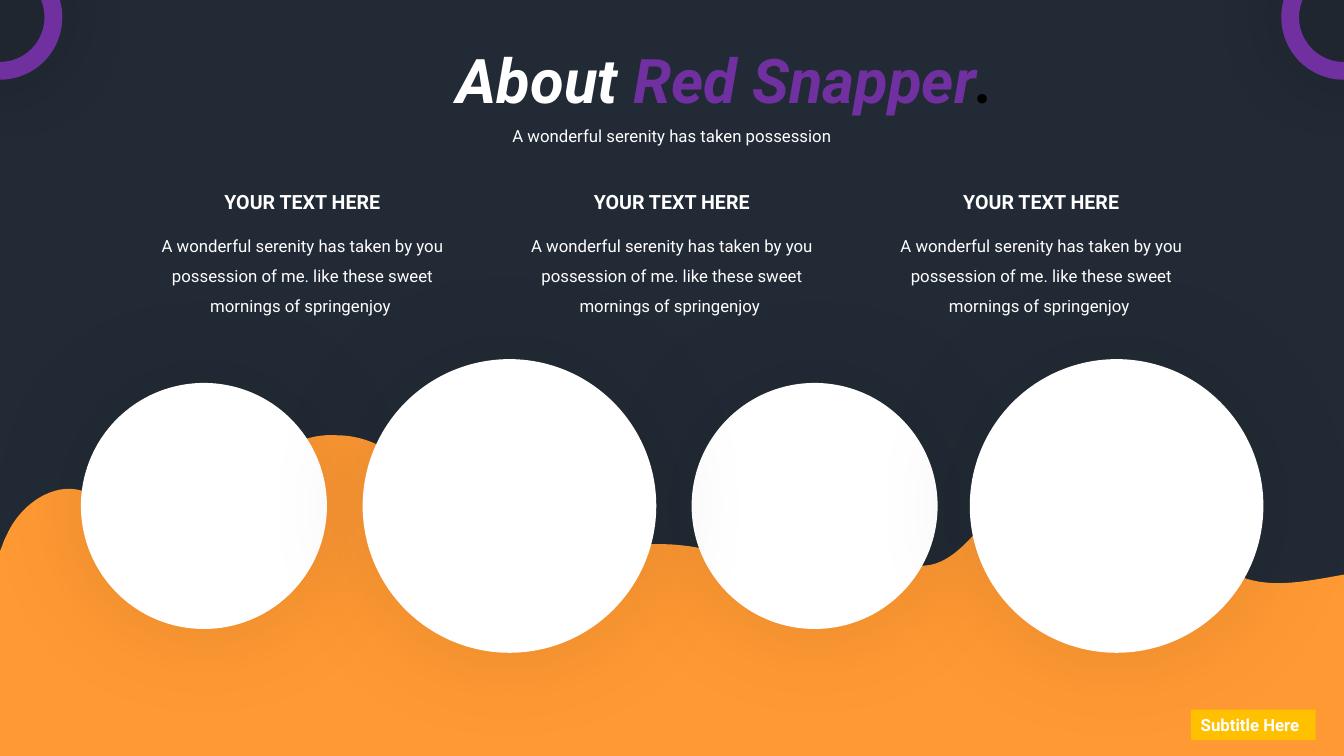
from lxml.etree import SubElement
from pptx import Presentation
from pptx.dml.color import RGBColor
from pptx.enum.shapes import MSO_SHAPE as SHAPE
from pptx.enum.text import MSO_ANCHOR as ANCHOR
from pptx.enum.text import MSO_AUTO_SIZE as AUTO
from pptx.enum.text import PP_ALIGN as ALIGN
from pptx.oxml.ns import qn
from pptx.util import Cm, Pt

NAVY, ORANGE, PURPLE, GOLD = "222A35", "FF9933", "7030A0", "FFC000"
WHITE, BLACK = "FFFFFF", "000000"
WIDTH, HEIGHT = 33.87, 19.05
COLUMN_STEP = 9.31
BODY = ("A wonderful serenity has taken by you possession of me. "
        "like these sweet mornings of springenjoy ")

# Outline pieces in cm: a line is one end point, a Bezier curve is
# two control points and an end point.
WAVE = [
    ((0.05, 13.77),),
    ((0.08, 13.67), (0.13, 13.56), (0.18, 13.46)),
    ((0.53, 12.70), (1.35, 12.14), (2.08, 12.37)),
    ((2.84, 12.60), (3.33, 13.54), (4.09, 13.59)),
    ((4.90, 13.67), (5.49, 12.80), (6.05, 12.17)),
    ((6.55, 11.58), (7.21, 11.15), (7.95, 11.00)),
    ((8.13, 10.97), (8.33, 10.95), (8.51, 10.97)),
    ((9.04, 10.97), (9.60, 11.18), (10.03, 11.53)),
    ((10.74, 12.17), (11.10, 13.21), (11.86, 13.69)),
    ((12.73, 14.25), (13.79, 14.00), (14.82, 13.82)),
]
WAVE_LINK = [
    ((15.49, 13.72), (16.23, 13.69), (16.92, 13.72)),
    ((17.63, 13.77), (18.39, 13.92), (18.97, 14.33)),
    ((19.05, 14.38),),
]
WAVE_SHIFT = (19.05, 0.66)


def rgb(color):
    """Turn a hex string into a colour."""
    return RGBColor.from_string(color)


def paint(sp, color):
    """Give a shape a plain fill with no line and no theme shadow."""
    sp.fill.solid()
    sp.fill.fore_color.rgb = rgb(color)
    sp.line.fill.background()
    sp.shadow.inherit = False


def add_glow(sp, alpha, blur):
    """Add a soft black shadow, alpha in percent and blur in points."""
    effects = sp._element.spPr.find(qn("a:effectLst"))
    shadow = SubElement(effects, qn("a:outerShdw"), blurRad=str(Pt(blur)),
                        dist="0", dir="0", algn="ctr", rotWithShape="0")
    color = SubElement(shadow, qn("a:srgbClr"), val=BLACK)
    SubElement(color, qn("a:alpha"), val=str(alpha * 1000))


def add_shape(slide, kind, box, color):
    """Add a painted preset shape; box is left, top, width, height in cm."""
    sp = slide.shapes.add_shape(kind, *map(Cm, box))
    paint(sp, color)
    return sp


def write(sp, runs, size, align=ALIGN.CENTER, wrap=True, spacing=1.0, **font):
    """Write one paragraph of (text, colour) runs into a shape."""
    tf = sp.text_frame
    frame = {"word_wrap": wrap, "auto_size": AUTO.SHAPE_TO_FIT_TEXT,
             "vertical_anchor": ANCHOR.TOP}
    for name, value in frame.items():
        setattr(tf, name, value)
    p = tf.paragraphs[0]
    p.alignment, p.line_spacing = align, spacing
    for text, color in runs:
        r = p.add_run()
        r.text = text
        for name, value in {"name": "Roboto", "size": Pt(size), **font}.items():
            setattr(r.font, name, value)
        r.font.color.rgb = rgb(color)


def add_text(slide, box, runs, size, **style):
    """Add a text box; box is left, top, width, height in cm."""
    write(slide.shapes.add_textbox(*map(Cm, box)), runs, size, **style)


def add_outline(slide, start, pieces, color):
    """Add a closed freeform of lines and Bezier curves."""
    builder = slide.shapes.build_freeform(*map(Cm, start))
    builder.add_line_segments([tuple(map(Cm, piece[-1])) for piece in pieces])
    sp = builder.convert_to_shape()
    lines = list(sp._element.iter(qn("a:lnTo")))
    for line, piece in zip(lines, pieces):
        if len(piece) == 3:
            curve = line.makeelement(qn("a:cubicBezTo"))
            for x, y in piece:
                SubElement(curve, qn("a:pt"), x=str(Cm(x) - sp.left),
                           y=str(Cm(y) - sp.top))
            line.getparent().replace(line, curve)
    paint(sp, color)


def add_waves(slide):
    """Draw the orange ground: one wave, repeated further right and lower."""
    dx, dy = WAVE_SHIFT
    right = [tuple((x + dx, y + dy) for x, y in piece) for piece in WAVE]
    base = [((WIDTH, HEIGHT),), ((0, HEIGHT),)]
    add_outline(slide, (0, 13.89), WAVE + WAVE_LINK + right + base, ORANGE)


def add_circle(slide, left, top, size):
    """Add a white circle with a wide, faint shadow."""
    sp = add_shape(slide, SHAPE.OVAL, (left, top, size, size), WHITE)
    add_glow(sp, 9, 77)


def add_ring(slide, left):
    """Add a purple ring that hangs over a top corner."""
    sp = add_shape(slide, SHAPE.DONUT, (left, -1.14, 3.15, 3.15), PURPLE)
    sp.adjustments[0] = 0.142
    add_glow(sp, 33, 49)


def add_body(slide, index):
    """Add the paragraph of one column."""
    add_text(slide, (3.74 + index * COLUMN_STEP, 5.55, 7.77, 2.46),
             [(BODY, WHITE)], 12, spacing=1.5)


def add_heading(slide, index):
    """Add the heading of one column."""
    add_text(slide, (5.32 + index * COLUMN_STEP, 4.67, 4.6, 0.86),
             [("YOUR TEXT HERE", WHITE)], 14, wrap=False, bold=True)


def main():
    """Build the slide and save it."""
    prs = Presentation()
    prs.slide_width, prs.slide_height = Cm(WIDTH), Cm(HEIGHT)
    slide = prs.slides.add_slide(prs.slide_layouts[6])
    slide.background.fill.solid()
    slide.background.fill.fore_color.rgb = rgb(NAVY)

    add_waves(slide)
    for left in (2.04, 17.43):
        add_circle(slide, left, 9.65, 6.2)
    for left in (9.14, 24.44):
        add_circle(slide, left, 9.05, 7.4)

    title = [("About ", WHITE), ("Red Snapper", PURPLE), (".", BLACK)]
    add_text(slide, (8.56, 0.94, 16.74, 2.13), title, 44, align=ALIGN.RIGHT,
             bold=True, italic=True)
    add_text(slide, (11.32, 2.78, 11.23, 0.94),
             [("A wonderful serenity has taken possession", WHITE)], 12,
             spacing=1.5)
    for add_part in (add_body, add_heading):
        for index in range(3):
            add_part(slide, index)

    tag = add_shape(slide, SHAPE.RECTANGLE, (30.01, 17.88, 3.15, 0.77), GOLD)
    write(tag, [("Subtitle Here", WHITE)], 12, align=ALIGN.LEFT, wrap=False,
          bold=True)
    for left in (-1.58, 32.29):
        add_ring(slide, left)
    prs.save("out.pptx")


main()
